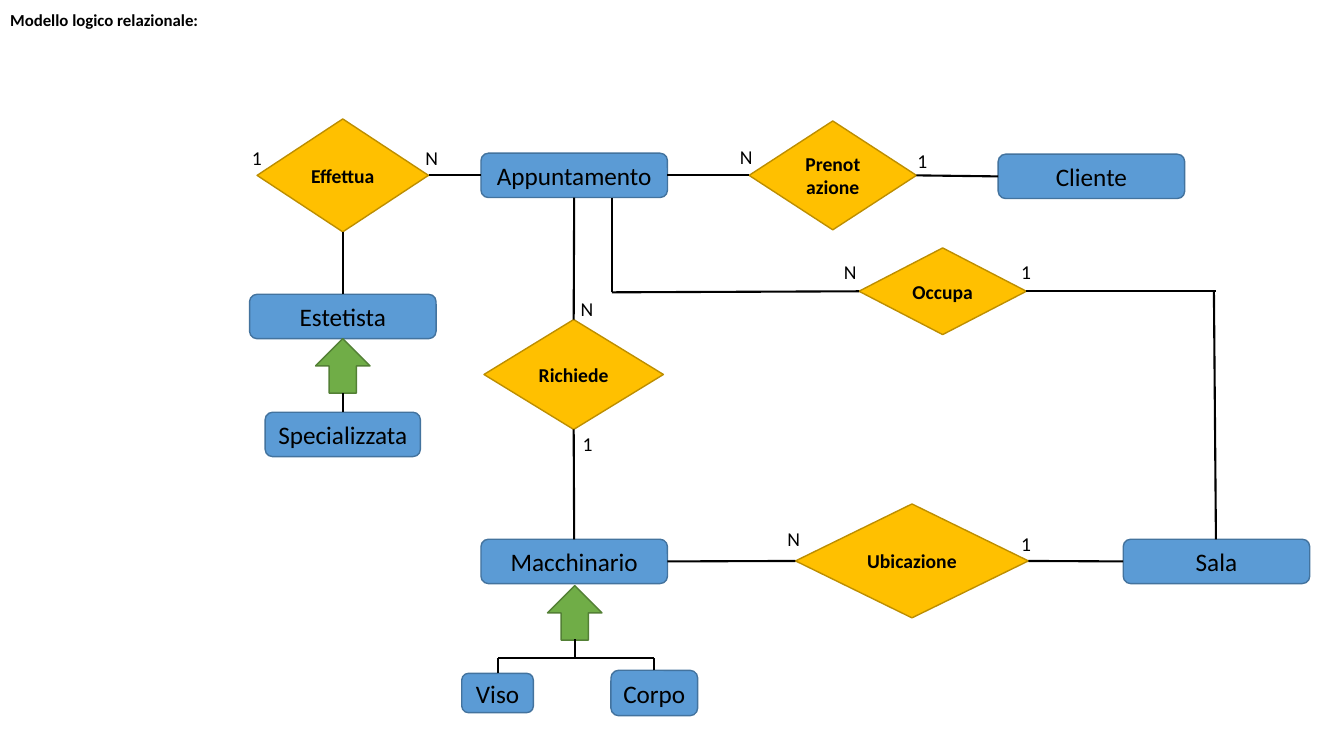
from dataclasses import dataclass
from typing import Any

from lxml import etree
from pptx import Presentation
from pptx.dml.color import RGBColor
from pptx.enum import shapes, text
from pptx.oxml import ns
from pptx import util as u

BLACK = RGBColor(0x00, 0x00, 0x00)
BLUE = RGBColor(0x5B, 0x9B, 0xD5)
DARK_BLUE = RGBColor(0x43, 0x73, 0x9E)
GOLD = RGBColor(0xFF, 0xC0, 0x00)
DARK_GOLD = RGBColor(0xBD, 0x8E, 0x00)
GREEN = RGBColor(0x70, 0xAD, 0x47)
DARK_GREEN = RGBColor(0x53, 0x80, 0x35)

CELL = u.Inches(0.1)
TOP, LEFT, BOTTOM, RIGHT = range(4)
LABEL_SIZE = (2.9, 3.4)
ENTITY_SIZE = (18.5, 4.4)


def cells(*counts):
    """Turn counts of grid cells into lengths."""
    return [u.Emu(round(count * CELL)) for count in counts]


def write(shape, words, size, bold=False, align=text.PP_ALIGN.CENTER, anchor=text.MSO_ANCHOR.MIDDLE):
    """Put one formatted paragraph into a shape."""
    frame = shape.text_frame
    frame.word_wrap = True
    frame.vertical_anchor = anchor
    paragraph = frame.paragraphs[0]
    paragraph.text = words
    paragraph.alignment = align
    font = paragraph.runs[0].font
    values = {"name": "Calibri", "size": u.Pt(size), "bold": bold}
    for name, value in values.items():
        setattr(font, name, value)
    font.color.rgb = BLACK
    return paragraph


@dataclass
class Region:
    """Draw diagram parts at grid cells counted from the region's corner."""

    slide: Any
    left: float = 0
    top: float = 0

    def place(self, x, y, width, height):
        """Return the position and size of a part on the slide."""
        return cells(self.left + x, self.top + y, width, height)

    def block(self, kind, box, fill, outline):
        """Add a filled preset shape."""
        shape = self.slide.shapes.add_shape(kind, *self.place(*box))
        shape.shadow.inherit = False
        shape.fill.solid()
        shape.fill.fore_color.rgb = fill
        shape.line.color.rgb = outline
        shape.line.width = u.Pt(1)
        return shape

    def entity(self, words, x, y, size=ENTITY_SIZE):
        """Add an entity box."""
        shape = self.block(shapes.MSO_SHAPE.ROUNDED_RECTANGLE, (x, y, *size), BLUE, DARK_BLUE)
        write(shape, words, 18)
        return shape

    def relation(self, words, x, y, width, height):
        """Add a relation diamond."""
        shape = self.block(shapes.MSO_SHAPE.DIAMOND, (x, y, width, height), GOLD, DARK_GOLD)
        write(shape, words, 14, bold=True)
        return shape

    def generalization(self, x, y, side=5.4):
        """Add an upward block arrow."""
        shape = self.block(shapes.MSO_SHAPE.DOWN_ARROW, (x, y, side, side), GREEN, DARK_GREEN)
        shape.rotation = 180
        return shape

    def cardinality(self, words, x, y):
        """Add a cardinality label."""
        label = self.slide.shapes.add_textbox(*self.place(x, y, *LABEL_SIZE))
        write(label, words, 14, align=text.PP_ALIGN.LEFT, anchor=text.MSO_ANCHOR.TOP)

    def line(self, start=(0, 0), end=(0, 0)):
        """Add a straight line between two grid points."""
        points = self.place(*start, 0, 0)[:2] + self.place(*end, 0, 0)[:2]
        connector = self.slide.shapes.add_connector(shapes.MSO_CONNECTOR.STRAIGHT, *points)
        connector.line.color.rgb = BLACK
        connector.line.width = u.Pt(1.5)
        etree.SubElement(connector._element.spPr, ns.qn("a:effectLst"))
        return connector

    def join(self, first, first_side, second, second_side):
        """Glue a line to the sides of two shapes."""
        connector = self.line()
        connector.begin_connect(first, first_side)
        connector.end_connect(second, second_side)


def add_title(slide, x, y, width, height):
    """Place the slide title."""
    title = slide.shapes.title
    title.left, title.top, title.width, title.height = cells(x, y, width, height)
    title.text_frame.auto_size = text.MSO_AUTO_SIZE.NONE
    paragraph = write(title, "Modello logico relazionale:", 12, bold=True, align=text.PP_ALIGN.LEFT)
    paragraph.line_spacing = 0.9


def add_staff(region):
    """Draw the beautician branch and return its relation."""
    performs = region.relation("Effettua", 1.5, 0, 17, 11.2)
    beautician = region.entity("Estetista", 0.75, 17.4)
    region.generalization(7.3, 21.8)
    region.entity("Specializzata", 2.3, 29.1, (15.4, 4.4))
    region.join(performs, BOTTOM, beautician, TOP)
    region.line((10, 27.2), (10, 29.1))
    region.cardinality("1", 0, 2.2)
    region.cardinality("N", 17.2, 2.2)
    return performs


def add_booking(region):
    """Draw the booking row and return the appointment."""
    appointment = region.entity("Appuntamento", 0, 3.2)
    booking = region.relation("Prenotazione", 26.6, 0, 16.6, 10.8)
    client = region.entity("Cliente", 51.3, 3.3)
    region.join(appointment, RIGHT, booking, LEFT)
    region.join(booking, RIGHT, client, LEFT)
    region.cardinality("N", 24.7, 1.9)
    region.cardinality("1", 42.3, 2.3)
    return appointment


def add_machine(region):
    """Draw the machine branch and return its relation and entity."""
    requires = region.relation("Richiede", 0.3, 0, 17.8, 10.9)
    machine = region.entity("Macchinario", 0, 21.8)
    region.join(requires, BOTTOM, machine, TOP)
    region.generalization(6.6, 26.4)
    region.entity("Viso", -1.9, 35.1, (7.1, 3.9))
    region.entity("Corpo", 12.9, 34.8, (8.6, 4.5))
    fork = 33.6
    region.line((1.7, fork), (17.2, fork))
    for x, y in ((9.3, 31.7), (1.7, 35.1), (17.2, 34.8)):
        region.line((x, y), (x, fork))
    region.cardinality("N", 8.9, -2.7)
    region.cardinality("1", 9.1, 10.7)
    return requires, machine


def add_room(region):
    """Draw the room branch and return its location relation."""
    region.relation("Occupa", 6.3, 0, 16.6, 8.6)
    location = region.relation("Ubicazione", 0, 25.4, 23.1, 11.3)
    room = region.entity("Sala", 32.5, 28.9)
    region.join(location, RIGHT, room, LEFT)
    region.line((-18.2, -5), (-18.2, 4.4))
    region.line((-18.2, 4.4), (6.3, 4.3))
    region.line((22.9, 4.3), (41.7, 4.3))
    region.line((41.5, 4.3), (41.7, 28.9))
    region.cardinality("N", 3.8, 0.7)
    region.cardinality("1", 21.4, 0.7)
    region.cardinality("N", -1.8, 27.2)
    region.cardinality("1", 21.4, 27.7)
    return location


def add_diagram(slide):
    """Draw the four regions and the lines between them."""
    performs = add_staff(Region(slide, 24, 11.8))
    appointment = add_booking(Region(slide, 47.7, 12))
    requires, machine = add_machine(Region(slide, 47.7, 31.7))
    location = add_room(Region(slide, 78.9, 24.6))
    diagram = Region(slide)
    diagram.join(performs, RIGHT, appointment, LEFT)
    diagram.join(appointment, BOTTOM, requires, TOP)
    diagram.join(machine, RIGHT, location, LEFT)


def main():
    """Build and save the presentation."""
    presentation = Presentation()
    presentation.slide_width = u.Inches(13.33)
    presentation.slide_height = u.Inches(7.5)
    slide = presentation.slides.add_slide(presentation.slide_layouts[5])
    add_title(slide, 0, -0.1, 22.7, 4.3)
    add_diagram(slide)
    presentation.save("out.pptx")


main()
